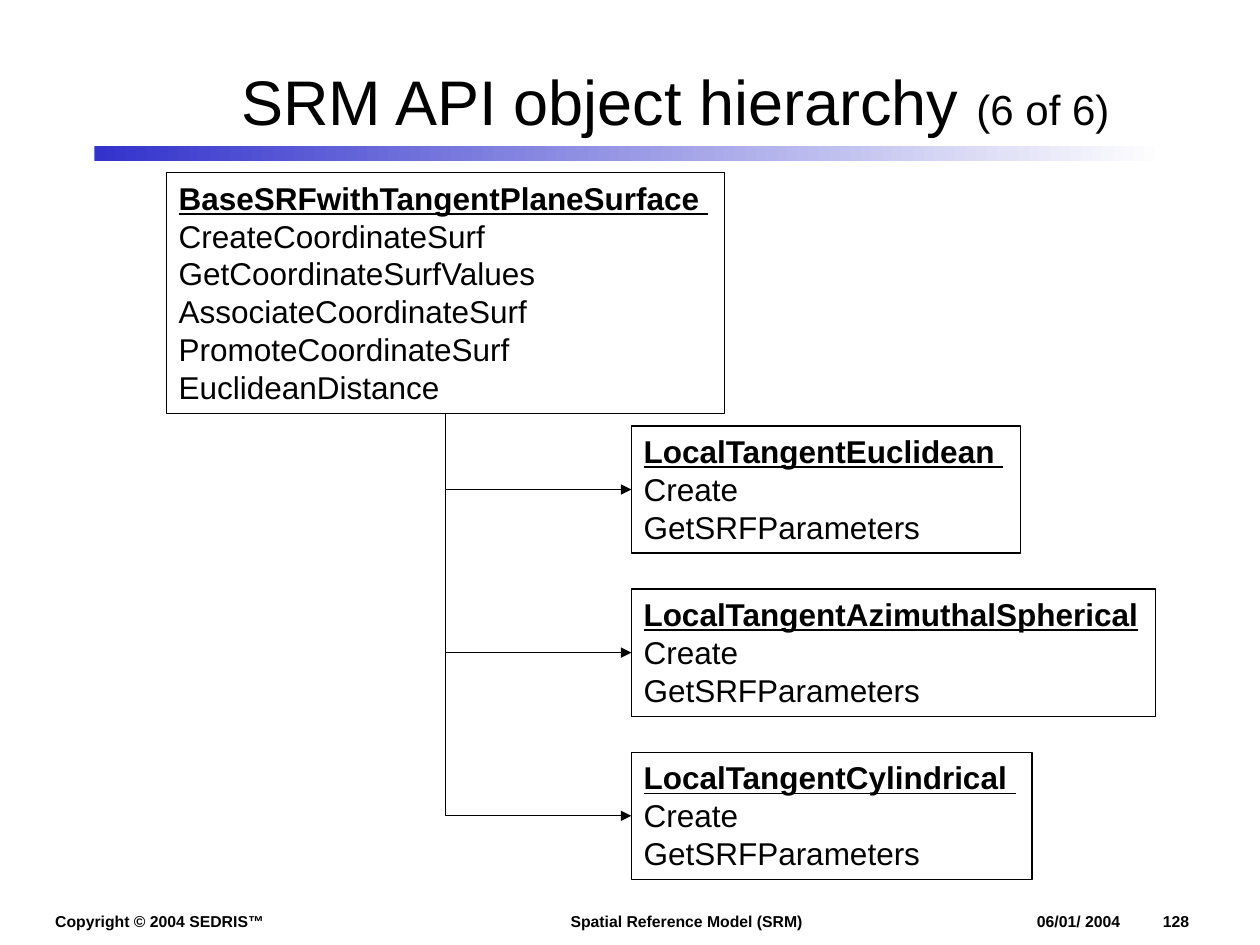
from dataclasses import dataclass, field
from typing import Any

from lxml.etree import SubElement
from pptx import Presentation
from pptx.dml.color import RGBColor
from pptx.enum.shapes import MSO_CONNECTOR as Connector, MSO_SHAPE as Shape
from pptx.enum.text import MSO_ANCHOR as Anchor, PP_ALIGN as Align
from pptx.oxml.ns import qn
from pptx.util import Inches, Pt


@dataclass(frozen=True)
class Theme:
    font: str = "Arial"
    ink: RGBColor = RGBColor(0, 0, 0)
    paper: RGBColor = RGBColor(255, 255, 255)
    accent: RGBColor = RGBColor(0x33, 0x33, 0xCC)
    title_size: int = 36
    counter_size: int = 24
    body_size: int = 18
    footer_size: int = 9
    line_width: float = 0.75


@dataclass(frozen=True)
class ClassBox:
    name: str
    methods: tuple[str, ...]
    left: float
    top: float
    width: float
    height: float = 1.01


@dataclass(frozen=True)
class Label:
    text: str
    left: float
    top: float
    width: float
    height: float
    frame_format: dict[str, Any] = field(default_factory=dict)
    tab_stops: tuple[float, ...] = ()


THEME = Theme()
CHILD_LEFT, CHILD_TOP, CHILD_STEP = 5.01, 3.38, 1.295
CHILD_METHODS = ("Create", "GetSRFParameters")
CHILD_WIDTHS = {
    "LocalTangentEuclidean ": 3.09,
    "LocalTangentAzimuthalSpherical": 4.16,
    "LocalTangentCylindrical ": 3.18,
}
BASE = ClassBox(
    "BaseSRFwithTangentPlaneSurface ",
    ("CreateCoordinateSurf", "GetCoordinateSurfValues", "AssociateCoordinateSurf",
     "PromoteCoordinateSurf", "EuclideanDistance"),
    1.32, 1.37, 4.43, 1.91,
)
CHILDREN = [
    ClassBox(name, CHILD_METHODS, CHILD_LEFT, CHILD_TOP + row * CHILD_STEP, width)
    for row, (name, width) in enumerate(CHILD_WIDTHS.items())
]
FLUSH_BOTTOM = {
    "margin_left": 0, "margin_top": 0, "margin_right": 0, "margin_bottom": 0,
    "vertical_anchor": Anchor.BOTTOM, "word_wrap": True,
}
FOOTERS = (
    Label("Copyright © 2004 SEDRIS™", 0.34, 7.19, 1.86, 0.25),
    Label("Spatial Reference Model (SRM)", 4.43, 7.19, 2.04, 0.25),
    Label("06/01/ 2004\t\t128", 8.23, 7.24, 1.44, 0.15, FLUSH_BOTTOM, (0.8, 1)),
)


def apply_format(target: Any, values: dict[str, Any]) -> None:
    """Set every named attribute on the target."""
    for name, value in values.items():
        setattr(target, name, value)


def add_run(paragraph: Any, text: str, size: int, **extra: Any) -> None:
    """Append a run in the theme font."""
    run = paragraph.add_run()
    run.text = text
    apply_format(run.font, {"name": THEME.font, "size": Pt(size), **extra})
    run.font.color.rgb = THEME.ink


def add_label_box(slide: Any, label: Label) -> Any:
    """Add an empty text box for a label and return its first paragraph."""
    box = slide.shapes.add_textbox(
        *map(Inches, (label.left, label.top, label.width, label.height)))
    apply_format(box.text_frame, {"word_wrap": False, **label.frame_format})
    return box.text_frame.paragraphs[0]


def add_footer(slide: Any, label: Label) -> None:
    """Add a bold footer line with its tab stops."""
    paragraph = add_label_box(slide, label)
    if label.tab_stops:
        tab_list = SubElement(paragraph._p.get_or_add_pPr(), qn("a:tabLst"))
        for stop in label.tab_stops:
            SubElement(tab_list, qn("a:tab"), pos=str(Inches(stop)), algn="l")
    add_run(paragraph, label.text, THEME.footer_size, bold=True)


def add_title(slide: Any) -> None:
    """Add the title with its smaller page counter."""
    paragraph = add_label_box(slide, Label(
        "", 1.21, 0.25, 8.3, 1.09,
        {"word_wrap": True, "vertical_anchor": Anchor.MIDDLE}))
    paragraph.alignment = Align.CENTER
    add_run(paragraph, "SRM API object hierarchy ", THEME.title_size)
    add_run(paragraph, "(6 of 6)", THEME.counter_size)


def add_title_rule(slide: Any) -> None:
    """Add the fading bar under the title."""
    rule = slide.shapes.add_shape(
        Shape.RECTANGLE, *map(Inches, (0.75, 1.16, 8.5, 0.12)))
    rule.shadow.inherit = False
    rule.line.fill.background()
    rule.fill.gradient()
    rule.fill.gradient_angle = 0
    for stop, color in zip(rule.fill.gradient_stops, (THEME.accent, THEME.paper)):
        stop.color.rgb = color


def add_class_box(slide: Any, spec: ClassBox) -> Any:
    """Add an outlined class box listing its methods."""
    box = slide.shapes.add_shape(
        Shape.RECTANGLE, *map(Inches, (spec.left, spec.top, spec.width, spec.height)))
    box.shadow.inherit = False
    box.fill.solid()
    box.fill.fore_color.rgb = THEME.paper
    box.line.color.rgb = THEME.ink
    box.line.width = Pt(THEME.line_width)
    frame = box.text_frame
    apply_format(frame, {"word_wrap": False, "vertical_anchor": Anchor.TOP})
    heading = frame.paragraphs[0]
    add_run(heading, spec.name, THEME.body_size, bold=True, underline=True)
    heading.add_line_break()
    for row, method in enumerate(spec.methods):
        paragraph = frame.add_paragraph() if row else heading
        paragraph.alignment = Align.LEFT
        add_run(paragraph, method, THEME.body_size)
    return box


def add_inheritance_arrow(slide: Any, base: Any, child: Any) -> None:
    """Join the base's bottom to the child's left side with one bend."""
    start_x, start_y = base.left + base.width // 2, base.top + base.height
    end_x, end_y = child.left, child.top + child.height // 2
    run, drop = end_x - start_x, end_y - start_y
    arrow = slide.shapes.add_connector(Connector.ELBOW, start_x, start_y, end_x, end_y)
    arrow.begin_connect(base, 2)
    arrow.end_connect(child, 1)
    apply_format(arrow, {
        "left": (start_x + end_x - drop) // 2, "top": (start_y + end_y - run) // 2,
        "width": drop, "height": run,
    })
    properties = arrow._element.spPr
    properties.find(qn("a:prstGeom")).set("prst", "bentConnector2")
    transform = properties.find(qn("a:xfrm"))
    transform.set("rot", str(270 * 60000))
    transform.set("flipH", "1")
    arrow.line.color.rgb = THEME.ink
    arrow.line.width = Pt(THEME.line_width)
    SubElement(arrow.line._get_or_add_ln(), qn("a:tailEnd"), type="triangle")
    SubElement(properties, qn("a:effectLst"))


def main() -> None:
    """Build and save the class hierarchy slide."""
    deck = Presentation()
    deck.slide_width, deck.slide_height = Inches(10), Inches(7.5)
    slide = deck.slides.add_slide(deck.slide_layouts[6])
    for footer in FOOTERS:
        add_footer(slide, footer)
    add_title_rule(slide)
    base = add_class_box(slide, BASE)
    for spec in CHILDREN:
        add_inheritance_arrow(slide, base, add_class_box(slide, spec))
    add_title(slide)
    deck.save("out.pptx")


if __name__ == "__main__":
    main()
